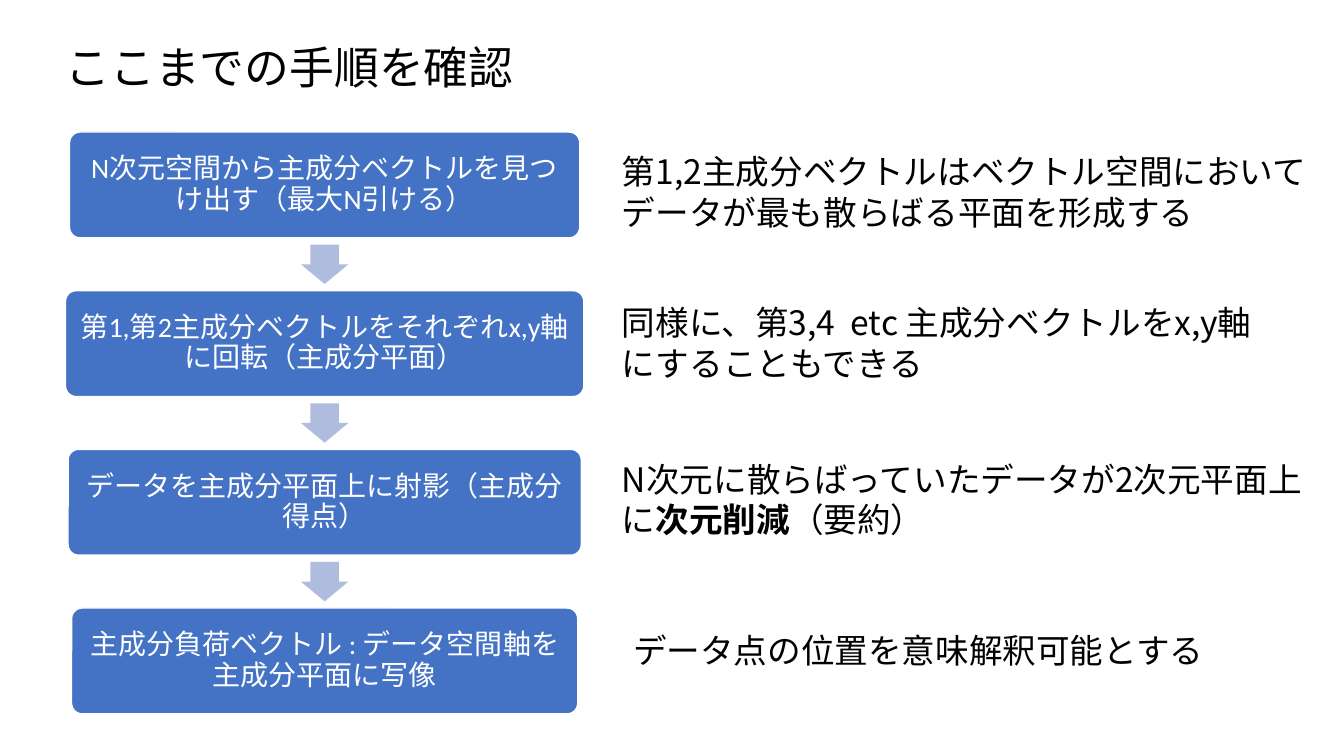
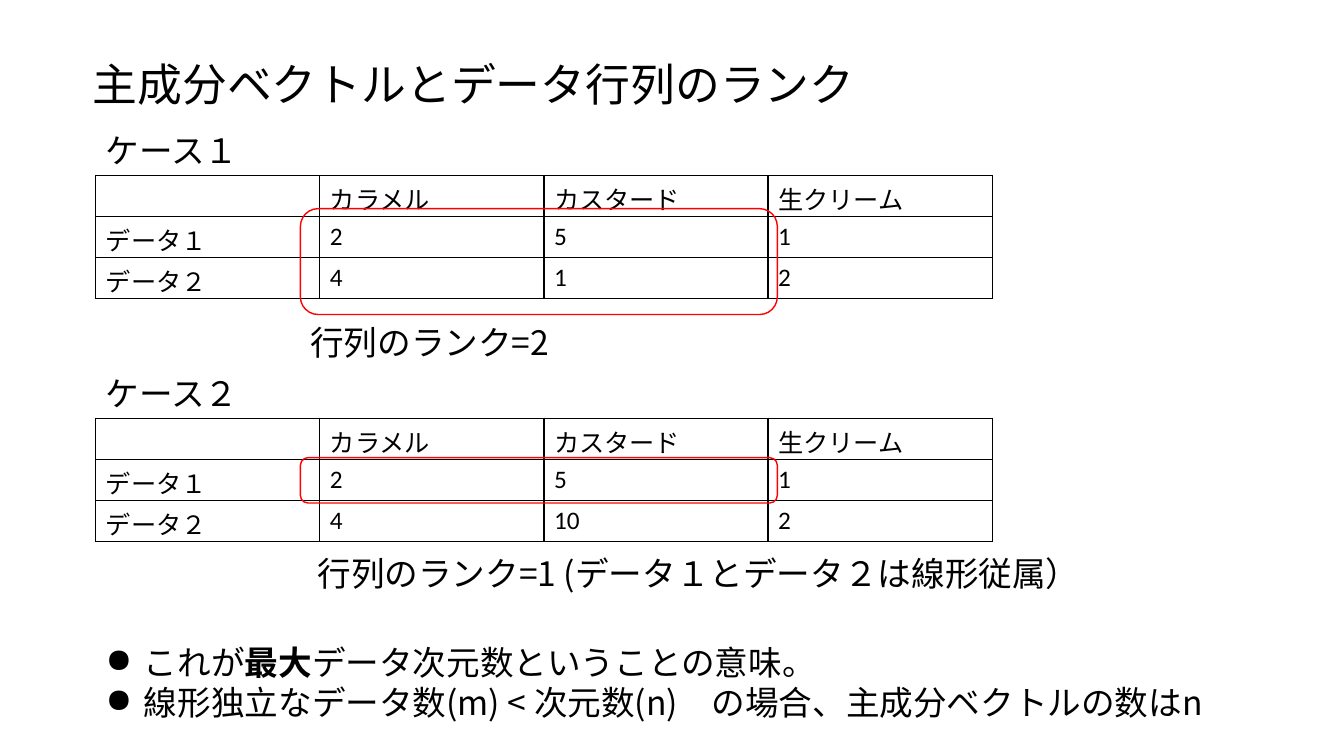
"""Build two slides on principal component steps and data matrix rank."""
from lxml import etree
from pptx import Presentation, util as u
from pptx.dml.color import RGBColor
from pptx.enum import shapes, text
from pptx.oxml.ns import qn

PX = 9144
WIDTH, HEIGHT = 1333, 750
BLACK = RGBColor(0x00, 0x00, 0x00)
WHITE = RGBColor(0xFF, 0xFF, 0xFF)
BLUE = RGBColor(0x44, 0x72, 0xC4)
PALE_BLUE = RGBColor(0xB0, 0xBC, 0xDE)
RED = RGBColor(0xFF, 0x00, 0x00)
JAPANESE, LATIN = "Noto Sans CJK JP", "Calibri"
TITLE_SIZE, BODY_SIZE, STEP_SIZE, CELL_SIZE = 32, 24, 20, 18

STEPS_TITLE = ("ここまでの手順を確認", (55, 34, 469, 64))
STEPS = [
    ("N次元空間から主成分ベクトルを見つけ出す（最大N引ける）", 506),
    ("第1,第2主成分ベクトルをそれぞれx,y軸に回転（主成分平面）", 514),
    ("データを主成分平面上に射影（主成分得点）", 509),
    ("主成分負荷ベクトル : データ空間軸を主成分平面に写像", 502),
]
STEP_CENTER, STEP_TOP, STEP_HEIGHT, STEP_GAP = 322, 131, 105, 52.4
ARROW_WIDTH, ARROW_HEIGHT = 47, 39
NOTES = [
    (["第1,2主成分ベクトルはベクトル空間においてデータが最も散らばる平面を形成する"],
     (607, 145, 701, 91), True),
    (["同様に、第3,4  etc 主成分ベクトルをx,y軸にすることもできる"],
     (607, 295, 652, 91), True),
    (["N次元に散らばっていたデータが2次元平面上に", "次元削減", "（要約）"],
     (607, 450, 701, 91), True),
    (["データ点の位置を意味解釈可能とする"], (618, 620, 592, 50), False),
]

RANK_TITLE = ("主成分ベクトルとデータ行列のランク", (82, 51, 783, 64))
HEADER = ["", "カラメル", "カスタード", "生クリーム"]
CASES = [
    {"name": "ケース１", "top": 124,
     "rows": [["データ１", "2", "5", "1"], ["データ２", "4", "1", "2"]],
     "frame": (298, 207, 473, 105),
     "rank": ("行列のランク=2", (298, 314, 270, 50))},
    {"name": "ケース２", "top": 365,
     "rows": [["データ１", "2", "5", "1"], ["データ２", "4", "10", "2"]],
     "frame": (298, 454, 473, 45),
     "rank": ("行列のランク=1 (データ１とデータ２は線形従属）", (305, 544, 801, 50))},
]
CASE_LEFT, LABEL_WIDTH, LABEL_HEIGHT = 95, 155, 50
TABLE_WIDTH, TABLE_HEIGHT = 889, 122
CONCLUSIONS = [
    ["これが", "最大", "データ次元数ということの意味。"],
    ["線形独立なデータ数(m) < 次元数(n)\u3000の場合、主成分ベクトルの数はn".replace("\u3000", "　")],
]
CONCLUSION_BOX = (95, 632, 1150, 91)
BULLET_INDENT = 38


def emu(box):
    return [round(length * PX) for length in box]


def style(paragraph, size, latin=JAPANESE, color=BLACK):
    font = paragraph.font
    font.size, font.name = u.Pt(size), latin
    font.color.rgb = color
    defaults = paragraph._p.pPr.find(qn("a:defRPr"))
    etree.SubElement(defaults, qn("a:ea")).set("typeface", JAPANESE)


def add_runs(paragraph, parts):
    for index, part in enumerate(parts):
        run = paragraph.add_run()
        run.text = part
        if index == 1:
            run.font.bold = True


def add_text(slide, paragraphs, box, size=BODY_SIZE, wrap=False, bullet=False):
    frame = slide.shapes.add_textbox(*emu(box)).text_frame
    frame.word_wrap = wrap
    frame.auto_size = text.MSO_AUTO_SIZE.SHAPE_TO_FIT_TEXT
    for index, parts in enumerate(paragraphs):
        paragraph = frame.add_paragraph() if index else frame.paragraphs[0]
        add_runs(paragraph, parts)
        if bullet:
            properties = paragraph._p.get_or_add_pPr()
            properties.set("marL", str(BULLET_INDENT * PX))
            properties.set("indent", str(-BULLET_INDENT * PX))
            etree.SubElement(properties, qn("a:buChar")).set("char", "●")
        style(paragraph, size)


def add_preset(slide, kind, box, fill=None, line=None, adjustments=()):
    shape = slide.shapes.add_shape(kind, *emu(box))
    shape.shadow.inherit = False
    for index, value in enumerate(adjustments):
        shape.adjustments[index] = value
    if fill is None:
        shape.fill.background()
    else:
        shape.fill.solid()
        shape.fill.fore_color.rgb = fill
    if line is None:
        shape.line.fill.background()
    else:
        shape.line.color.rgb = line
        shape.line.width = u.Pt(1)
    return shape


def add_step(slide, label, width, top):
    box = (STEP_CENTER - width / 2, top, width, STEP_HEIGHT)
    shape = add_preset(slide, shapes.MSO_SHAPE.ROUNDED_RECTANGLE, box, BLUE, WHITE, [0.1])
    frame = shape.text_frame
    frame.word_wrap = True
    frame.vertical_anchor = text.MSO_ANCHOR.MIDDLE
    frame.margin_left = frame.margin_right = 8 * PX
    frame.margin_top = frame.margin_bottom = 8 * PX
    paragraph = frame.paragraphs[0]
    paragraph.text = label
    paragraph.alignment = text.PP_ALIGN.CENTER
    paragraph.line_spacing = 0.9
    style(paragraph, STEP_SIZE, LATIN, WHITE)


def add_borders(cell):
    properties = cell._tc.get_or_add_tcPr()
    for side in ("a:lnL", "a:lnR", "a:lnT", "a:lnB"):
        line = etree.SubElement(properties, qn(side), w=str(u.Pt(1)))
        fill = etree.SubElement(line, qn("a:solidFill"))
        etree.SubElement(fill, qn("a:srgbClr"), val=str(BLACK))


def add_data_table(slide, rows, top):
    box = (CASE_LEFT, top, TABLE_WIDTH, TABLE_HEIGHT)
    table = slide.shapes.add_table(len(rows), len(HEADER), *emu(box)).table
    table.first_row = table.horz_banding = False
    for row_index, row in enumerate(rows):
        for column_index, value in enumerate(row):
            cell = table.cell(row_index, column_index)
            add_borders(cell)
            cell.fill.background()
            paragraph = cell.text_frame.paragraphs[0]
            paragraph.text = value
            style(paragraph, CELL_SIZE, LATIN)


def add_slide(presentation, title):
    slide = presentation.slides.add_slide(presentation.slide_layouts[6])
    label, box = title
    add_text(slide, [[label]], box, TITLE_SIZE)
    return slide


def build_steps(presentation):
    slide = add_slide(presentation, STEPS_TITLE)
    for index, (label, width) in enumerate(STEPS):
        top = STEP_TOP + index * (STEP_HEIGHT + STEP_GAP)
        add_step(slide, label, width, top)
        if index < len(STEPS) - 1:
            arrow_top = top + STEP_HEIGHT + (STEP_GAP - ARROW_HEIGHT) / 2
            box = (STEP_CENTER - ARROW_WIDTH / 2, arrow_top, ARROW_WIDTH, ARROW_HEIGHT)
            add_preset(slide, shapes.MSO_SHAPE.DOWN_ARROW, box, PALE_BLUE,
                       adjustments=[0.6, 0.5])
    for parts, box, wrap in NOTES:
        add_text(slide, [parts], box, wrap=wrap)


def build_rank(presentation):
    slide = add_slide(presentation, RANK_TITLE)
    for case in CASES:
        add_text(slide, [[case["name"]]], (CASE_LEFT, case["top"], LABEL_WIDTH, LABEL_HEIGHT))
        add_data_table(slide, [HEADER] + case["rows"], case["top"] + LABEL_HEIGHT)
        add_preset(slide, shapes.MSO_SHAPE.ROUNDED_RECTANGLE, case["frame"], line=RED)
        label, box = case["rank"]
        add_text(slide, [[label]], box)
    add_text(slide, CONCLUSIONS, CONCLUSION_BOX, bullet=True)


def main():
    presentation = Presentation()
    presentation.slide_width, presentation.slide_height = emu((WIDTH, HEIGHT))
    build_steps(presentation)
    build_rank(presentation)
    presentation.save("out.pptx")


if __name__ == "__main__":
    main()
